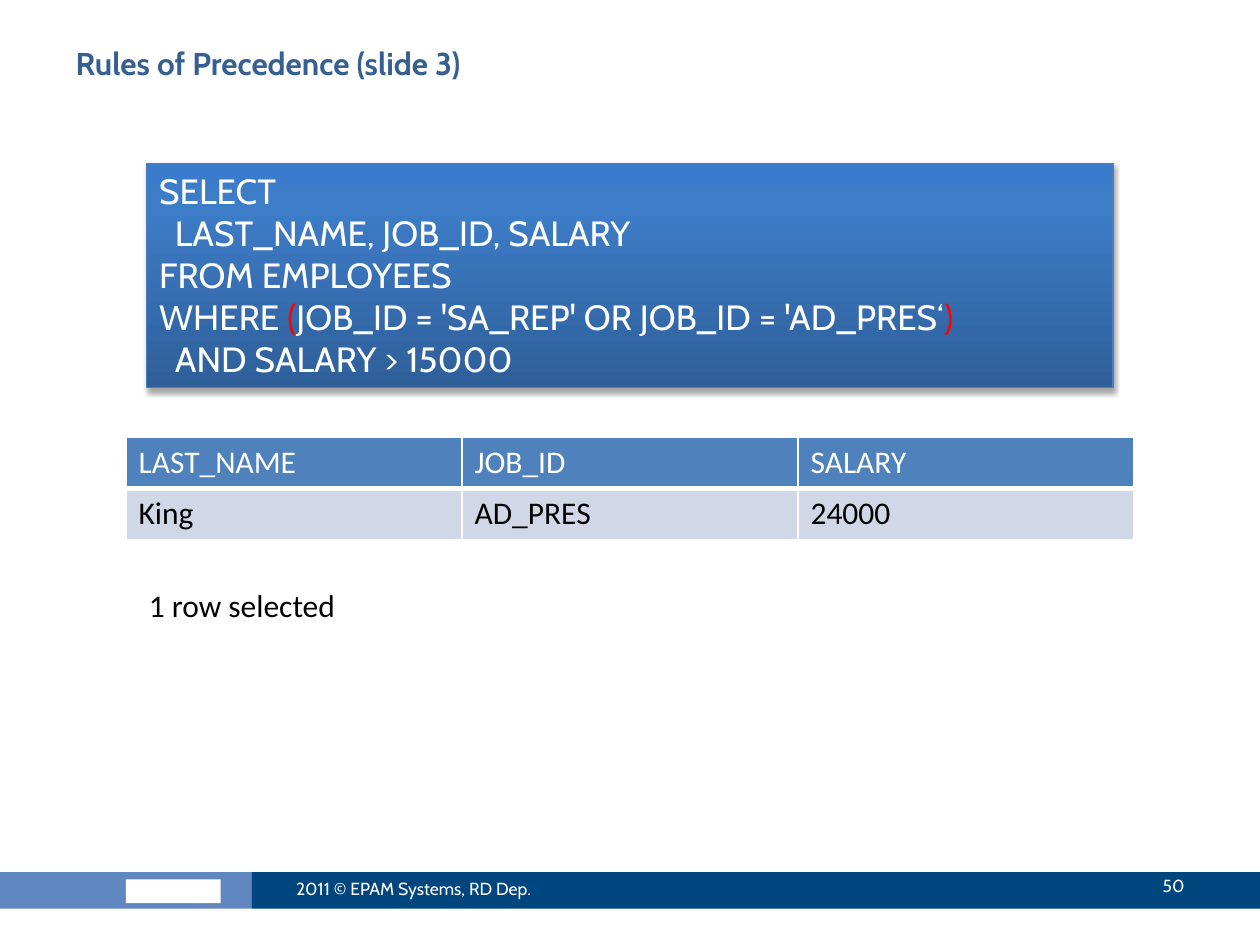
from copy import deepcopy
from dataclasses import dataclass

from lxml import etree
from pptx import Presentation
from pptx.dml.color import RGBColor
from pptx.enum.shapes import MSO_SHAPE
from pptx.enum.text import MSO_ANCHOR, PP_ALIGN
from pptx.oxml.ns import qn
from pptx.util import Cm, Pt

RECT = MSO_SHAPE.RECTANGLE
TOP, MIDDLE = MSO_ANCHOR.TOP, MSO_ANCHOR.MIDDLE
LEFT, RIGHT = PP_ALIGN.LEFT, PP_ALIGN.RIGHT


@dataclass(frozen=True)
class Theme:
    """Colours, fonts and type sizes of the slide."""
    head_font: str = "Cabin"
    body_font: str = "Calibri"
    white: str = "FFFFFF"
    black: str = "000000"
    red: str = "FF0000"
    title: str = "376092"
    light_bar: str = "6087BF"
    dark_bar: str = "00467E"
    code_line: str = "4B7EBC"
    code_stops: tuple = ((0, "2F5F99"), (0.8, "3D7CC7"), (1, "3A7CCB"))
    header: str = "4F81BD"
    row: str = "D0D8E8"
    small: int = 10
    body: int = 18
    code: int = 20


T = Theme()


def rgb(color):
    """Turn a hex string into a colour."""
    return RGBColor.from_string(color)


def write(tf, text, font=T.body_font, size=T.body, color=T.black, bold=False,
          align=LEFT, anchor=TOP, wrap=True):
    """Write a string, or lines made of (text, colour) runs, into a text frame."""
    lines = [[(text, color)]] if isinstance(text, str) else text
    tf.word_wrap = wrap
    tf.vertical_anchor = anchor
    for i, line in enumerate(lines):
        p = tf.add_paragraph() if i else tf.paragraphs[0]
        p.alignment = align
        for part, run_color in line:
            r = p.add_run()
            r.text = part
            r.font.name, r.font.size, r.font.bold = font, Pt(size), bold
            r.font.color.rgb = rgb(run_color)


def add_text(slide, box, text, **fmt):
    """Add a text box."""
    write(slide.shapes.add_textbox(*box).text_frame, text, **fmt)


def add_bar(slide, box, color):
    """Add a flat rectangle without outline."""
    sp = slide.shapes.add_shape(RECT, *box)
    sp.shadow.inherit = False
    sp.fill.solid()
    sp.fill.fore_color.rgb = rgb(color)
    sp.line.fill.background()


def add_shadow(sp):
    """Give a shape a soft shadow below it."""
    sp.shadow.inherit = False
    effects = sp._element.spPr.find(qn("a:effectLst"))
    shadow = etree.SubElement(effects, qn("a:outerShdw"), blurRad="40000",
                              dist="23000", dir="5400000", rotWithShape="0")
    color = etree.SubElement(shadow, qn("a:srgbClr"), val=T.black)
    etree.SubElement(color, qn("a:alpha"), val="35000")


def add_border(cell, side, width):
    """Draw one white border of a table cell."""
    ln = etree.SubElement(cell._tc.get_or_add_tcPr(), qn(f"a:ln{side}"),
                          w=str(Pt(width)))
    fill = etree.SubElement(ln, qn("a:solidFill"))
    etree.SubElement(fill, qn("a:srgbClr"), val=T.white)


def add_footer(slide, x, y, w, h):
    """Draw the footer bars with the copyright line and page number."""
    split = Cm(5.08)
    add_bar(slide, (x, y, split, h), T.light_bar)
    add_bar(slide, (x + Cm(2.54), y + Cm(0.15), Cm(1.91), Cm(0.48)), T.white)
    add_bar(slide, (x + split, y, w - split, h), T.dark_bar)
    fmt = dict(font=T.head_font, size=T.small, color=T.white, anchor=MIDDLE)
    add_text(slide, (x + Cm(5.72), y - Cm(0.18), Cm(6.78), Cm(1.02)),
             "2011 © EPAM Systems, RD Dep.", **fmt)
    add_text(slide, (x + w - Cm(4.01), y - Cm(0.23), Cm(2.74), Cm(1.02)),
             "50", align=RIGHT, **fmt)


def add_title(slide, x, y, w, h, text):
    """Place and format the title placeholder."""
    sp = slide.shapes.title
    sp.left, sp.top, sp.width, sp.height = x, y, w, h
    write(sp.text_frame, text, font=T.head_font, color=T.title, bold=True)


def add_code(slide, x, y, w, h, lines):
    """Draw the gradient panel that holds the query."""
    sp = slide.shapes.add_shape(RECT, x, y, w, h)
    sp.fill.gradient()
    sp.fill.gradient_angle = 90
    gs_lst = sp._element.spPr.find(qn("a:gradFill")).find(qn("a:gsLst"))
    gs_lst.append(deepcopy(gs_lst[-1]))
    for stop, (position, color) in zip(sp.fill.gradient_stops, T.code_stops):
        stop.position = position
        stop.color.rgb = rgb(color)
    sp.line.color.rgb = rgb(T.code_line)
    sp.line.width = Pt(0.75)
    add_shadow(sp)
    write(sp.text_frame, lines, font=T.head_font, size=T.code)


def add_result(slide, x, y, w, h, rows):
    """Draw the result table with a header row."""
    table = slide.shapes.add_table(len(rows), len(rows[0]), x, y, w, h).table
    for i, row in enumerate(rows):
        fill, color, bottom = (T.row, T.black, 1) if i else (T.header, T.white, 3)
        for j, text in enumerate(row):
            cell = table.cell(i, j)
            for side, width in zip("LRTB", (1, 1, 1 if i == 0 else 3, bottom)):
                add_border(cell, side, width)
            cell.fill.solid()
            cell.fill.fore_color.rgb = rgb(fill)
            write(cell.text_frame, text, color=color)


def main():
    """Build the slide and save it."""
    prs = Presentation()
    prs.slide_width, prs.slide_height = Cm(25.4), Cm(19.05)
    slide = prs.slides.add_slide(prs.slide_layouts[5])
    add_footer(slide, 0, Cm(17.58), prs.slide_width, Cm(0.74))
    add_title(slide, Cm(1.27), Cm(0.76), Cm(22.86), Cm(1.98),
              "Rules of Precedence (slide 3)")
    add_code(slide, Cm(2.96), Cm(3.3), Cm(19.48), Cm(4.52), [
        [("SELECT", T.white)],
        [("  LAST_NAME, JOB_ID, SALARY", T.white)],
        [("FROM EMPLOYEES", T.white)],
        [("WHERE ", T.white), ("(", T.red),
         ("JOB_ID = 'SA_REP' OR JOB_ID = 'AD_PRES‘", T.white), (")", T.red)],
        [("  AND SALARY > 15000", T.white)],
    ])
    add_result(slide, Cm(2.54), Cm(8.82), Cm(20.32), Cm(2.06), [
        ("LAST_NAME", "JOB_ID", "SALARY"),
        ("King", "AD_PRES", "24000"),
    ])
    add_text(slide, (Cm(2.75), Cm(11.68), Cm(4.65), Cm(1.02)),
             "1 row selected", wrap=False)
    prs.save("out.pptx")


if __name__ == "__main__":
    main()
